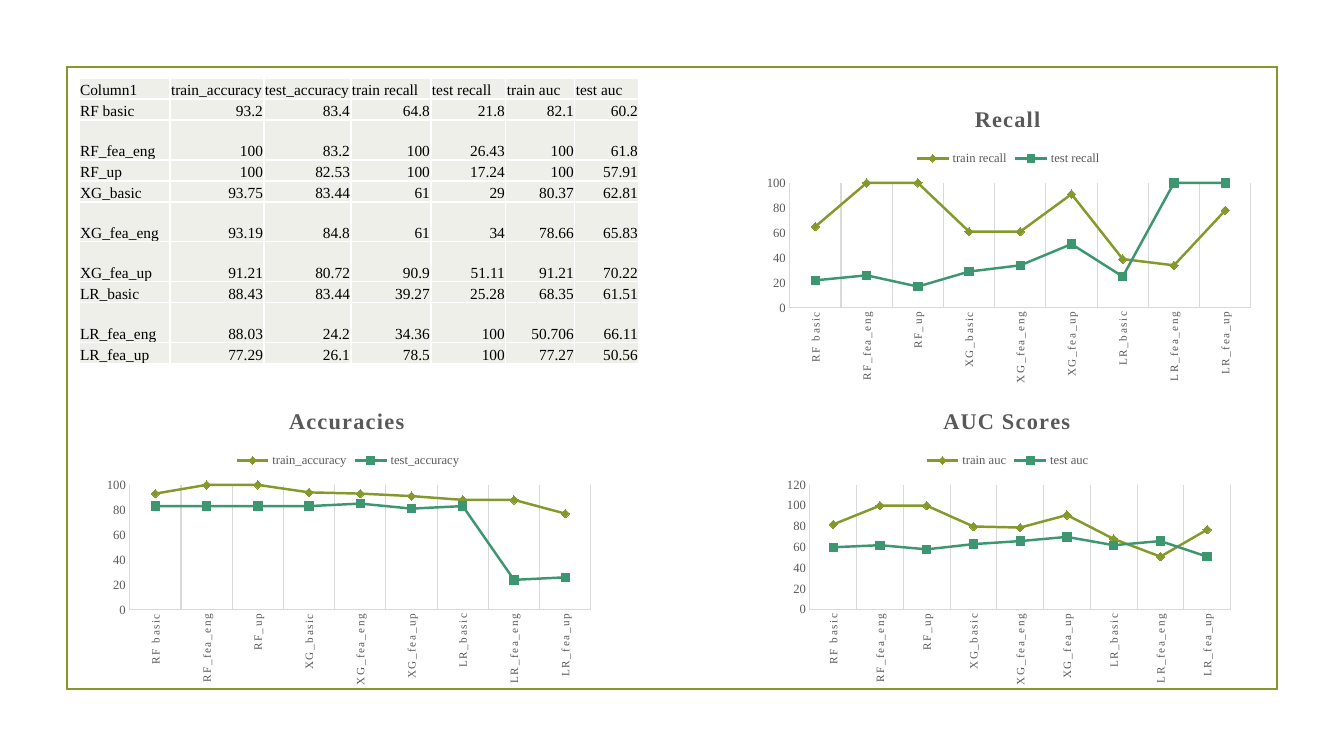
from lxml.etree import SubElement
from pptx import Presentation
from pptx.chart.data import CategoryChartData
from pptx.dml.color import RGBColor
from pptx.enum.chart import XL_CHART_TYPE as ChartType
from pptx.enum.chart import XL_LEGEND_POSITION as LegendPosition
from pptx.enum.chart import XL_MARKER_STYLE as Marker
from pptx.enum.chart import XL_TICK_MARK as TickMark
from pptx.enum.shapes import MSO_SHAPE as Shape
from pptx.enum.text import MSO_ANCHOR as Anchor
from pptx.enum.text import PP_ALIGN as Align
from pptx.oxml import parse_xml
from pptx.oxml.ns import nsdecls, qn
from pptx.util import Pt

HEADERS = ["Column1", "train_accuracy", "test_accuracy", "train recall", "test recall", "train auc", "test auc"]
MODELS = [
    ("RF basic", "93.2", "83.4", "64.8", "21.8", "82.1", "60.2"),
    ("RF_fea_eng", "100", "83.2", "100", "26.43", "100", "61.8"),
    ("RF_up", "100", "82.53", "100", "17.24", "100", "57.91"),
    ("XG_basic", "93.75", "83.44", "61", "29", "80.37", "62.81"),
    ("XG_fea_eng", "93.19", "84.8", "61", "34", "78.66", "65.83"),
    ("XG_fea_up", "91.21", "80.72", "90.9", "51.11", "91.21", "70.22"),
    ("LR_basic", "88.43", "83.44", "39.27", "25.28", "68.35", "61.51"),
    ("LR_fea_eng", "88.03", "24.2", "34.36", "100", "50.706", "66.11"),
    ("LR_fea_up", "77.29", "26.1", "78.5", "100", "77.27", "50.56"),
]
CHARTS = [
    {"title": "Accuracies", "columns": (1, 2), "at": (96, 391, 504, 302), "maximum": 100,
     "title_width": 126, "legend_width": 231},
    {"title": "Recall", "columns": (3, 4), "at": (756, 89, 504, 302), "maximum": 100,
     "title_width": 75, "legend_width": 191},
    {"title": "AUC Scores", "columns": (5, 6), "at": (776, 391, 464, 301), "maximum": 120,
     "title_width": 137, "legend_width": 171},
]
THEME = {
    "font": "Times New Roman", "ink": "000000", "muted": "595959", "rule": "D9D9D9",
    "cell": "EDEFE8", "border": "FFFFFF", "frame": "83992A",
    "series": [("83992A", Marker.DIAMOND), ("3C9770", Marker.SQUARE)],
    "table_size": 11, "chart_size": 10, "title_size": 16, "value_size": 9,
    "category_size": 8, "legend_size": 9,
}
SLIDE = (1344, 756)
FRAME = (67, 67, 1210, 622)
TABLE_AT = (79, 78)
COLUMN_WIDTHS = (91, 94, 87, 80, 75, 69, 64)
SHORT_ROW, TALL_ROW = 21, 40
TALL_ROWS = {2, 5, 6, 8}
TITLE_TOP, LEGEND_TOP, PLOT_TOP = 12, 58, 94
PLOT_LEFT, PLOT_MARGIN, PLOT_HEIGHT = 34, 43, 125
SCALE = 914400 / 100.8


def px(*lengths):
    return [round(length * SCALE) for length in lengths]


def colour(name):
    return RGBColor.from_string(THEME.get(name, name))


def apply(target, **values):
    for name, value in values.items():
        setattr(target, name, value)


def style_font(font, size, ink, bold=False):
    apply(font, name=THEME["font"], size=Pt(THEME[size]), bold=bold)
    font.color.rgb = colour(ink)


def style_line(line, ink, width):
    line.color.rgb = colour(ink)
    line.width = Pt(width)


def place(element, index, **fractions):
    old = element.find(qn("c:layout"))
    if old is not None:
        element.remove(old)
    layout = parse_xml(f"<c:layout {nsdecls('c')}/>")
    manual = SubElement(layout, qn("c:manualLayout"))
    if "w" in fractions:
        SubElement(manual, qn("c:layoutTarget")).set("val", "inner")
    for side in ("x", "y"):
        SubElement(manual, qn(f"c:{side}Mode")).set("val", "edge")
    for name, value in fractions.items():
        SubElement(manual, qn(f"c:{name}")).set("val", f"{value:.3f}")
    element.insert(index, layout)


def add_frame(page):
    frame = page.shapes.add_shape(Shape.RECTANGLE, *px(*FRAME))
    frame.shadow.inherit = False
    frame.fill.background()
    style_line(frame.line, "frame", 1.25)
    outline = frame._element.spPr.find(qn("a:ln"))
    SubElement(outline, qn("a:miter")).set("lim", "800000")


def add_borders(cell):
    properties = cell._tc.get_or_add_tcPr()
    for index, side in enumerate("LRTB"):
        properties.insert(index, parse_xml(
            f'<a:ln{side} {nsdecls("a")} w="12700"><a:solidFill>'
            f'<a:srgbClr val="{THEME["border"]}"/></a:solidFill></a:ln{side}>'))


def add_scores(page):
    rows = [HEADERS, *MODELS]
    heights = [TALL_ROW if index in TALL_ROWS else SHORT_ROW for index in range(len(rows))]
    table = page.shapes.add_table(
        len(rows), len(HEADERS), *px(*TABLE_AT, sum(COLUMN_WIDTHS), sum(heights))).table
    apply(table, first_row=False, horz_banding=False)
    for column, width in zip(table.columns, px(*COLUMN_WIDTHS)):
        column.width = width
    for row, height in zip(table.rows, px(*heights)):
        row.height = height
    for row_index, row in enumerate(rows):
        for column_index, text in enumerate(row):
            cell = table.cell(row_index, column_index)
            left, right, top = px(1, 1, 1)
            apply(cell, vertical_anchor=Anchor.BOTTOM, margin_left=left,
                  margin_right=right, margin_top=top, margin_bottom=0)
            cell.fill.solid()
            cell.fill.fore_color.rgb = colour("cell")
            add_borders(cell)
            para = cell.text_frame.paragraphs[0]
            para.alignment = Align.RIGHT if row_index and column_index else Align.LEFT
            span = para.add_run()
            span.text = text
            style_font(span.font, "table_size", "ink")


def style_axes(chart, maximum):
    category, value = chart.category_axis, chart.value_axis
    for axis, size in ((category, "category_size"), (value, "value_size")):
        apply(axis, major_tick_mark=TickMark.NONE, minor_tick_mark=TickMark.NONE)
        style_font(axis.tick_labels.font, size, "muted")
        style_line(axis.format.line, "rule", 0.75)
    apply(value, minimum_scale=0, maximum_scale=maximum, major_unit=20, has_major_gridlines=False)
    category.has_major_gridlines = True
    style_line(category.major_gridlines.format.line, "rule", 0.75)
    label_text = category._element.find(qn("c:txPr"))
    rotation = {"rot": "-5400000", "vert": "horz"}
    for name, setting in rotation.items():
        label_text.find(qn("a:bodyPr")).set(name, setting)
    next(label_text.iter(qn("a:defRPr"))).set("spc", "100")


def add_score_chart(page, content):
    data = CategoryChartData()
    data.categories = [model[0] for model in MODELS]
    for column in content["columns"]:
        data.add_series(HEADERS[column], [round(float(model[column])) for model in MODELS])
    chart = page.shapes.add_chart(ChartType.LINE_MARKERS, *px(*content["at"]), data).chart
    style_font(chart.font, "chart_size", "ink")
    chart.plots[0].vary_by_categories = False
    for series, (ink, marker) in zip(chart.plots[0].series, THEME["series"]):
        series.smooth = False
        style_line(series.format.line, ink, 1.75)
        apply(series.marker, style=marker, size=6)
        series.marker.format.fill.solid()
        series.marker.format.fill.fore_color.rgb = colour(ink)
        style_line(series.marker.format.line, ink, 0.75)
    style_axes(chart, content["maximum"])

    chart.has_title = True
    span = chart.chart_title.text_frame.paragraphs[0].add_run()
    span.text = content["title"]
    style_font(span.font, "title_size", "muted", bold=True)
    span.font._element.set("spc", "100")
    chart.has_legend = True
    apply(chart.legend, position=LegendPosition.TOP, include_in_layout=False)
    style_font(chart.legend.font, "legend_size", "muted")

    width, height = content["at"][2:]
    place(chart.chart_title._element, 1,
          x=(width - content["title_width"]) / 2 / width, y=TITLE_TOP / height)
    place(chart.legend._element, 1,
          x=(width - content["legend_width"]) / 2 / width, y=LEGEND_TOP / height)
    place(chart._chartSpace.chart.plotArea, 0,
          x=PLOT_LEFT / width, y=PLOT_TOP / height,
          w=(width - PLOT_MARGIN) / width, h=PLOT_HEIGHT / height)


def main():
    deck = Presentation()
    deck.slide_width, deck.slide_height = px(*SLIDE)
    page = deck.slides.add_slide(deck.slide_layouts[6])
    add_frame(page)
    for content in CHARTS:
        add_score_chart(page, content)
    add_scores(page)
    deck.save("out.pptx")


if __name__ == "__main__":
    main()
